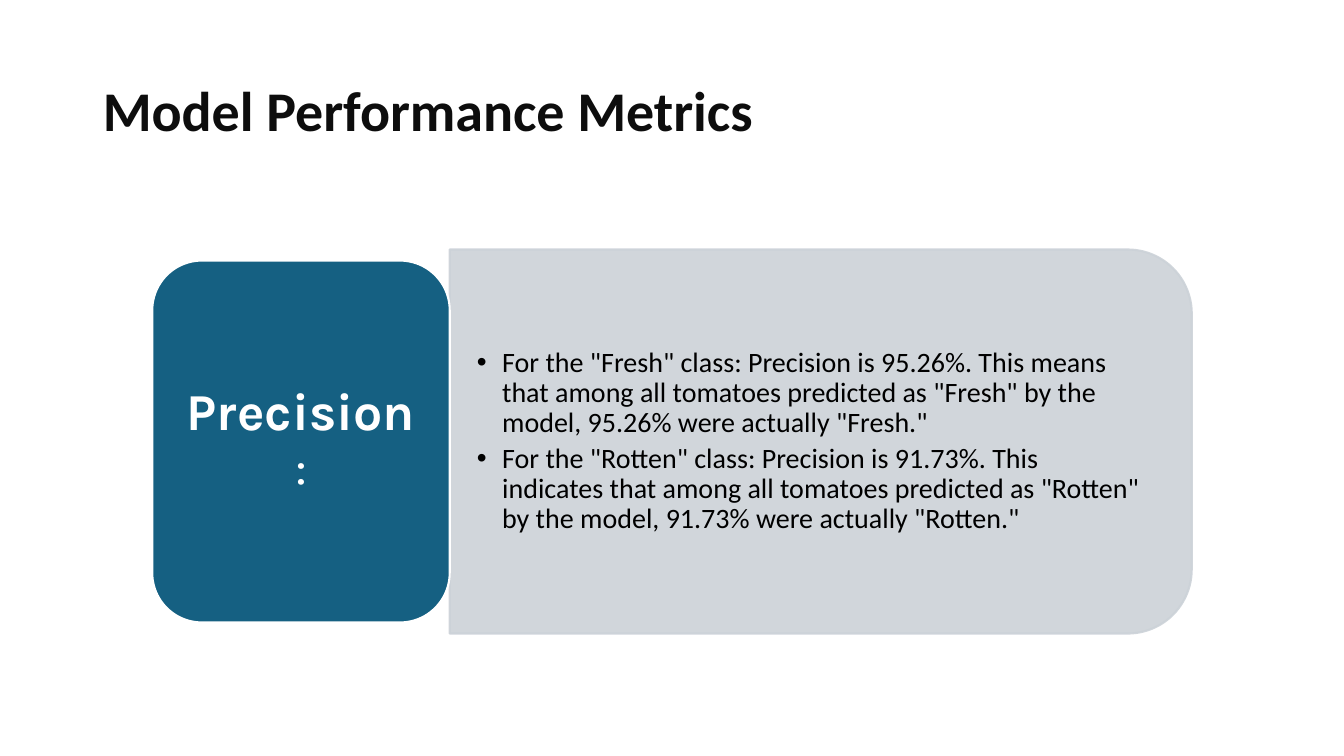
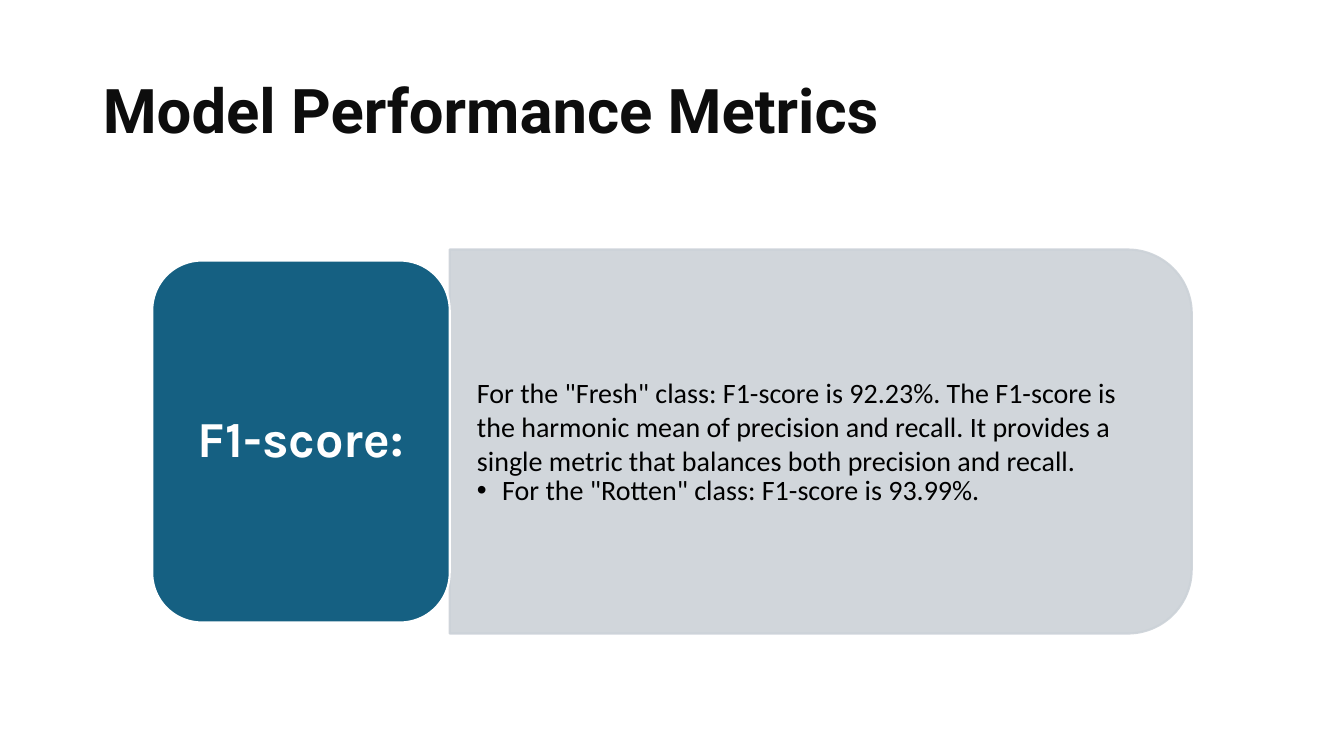
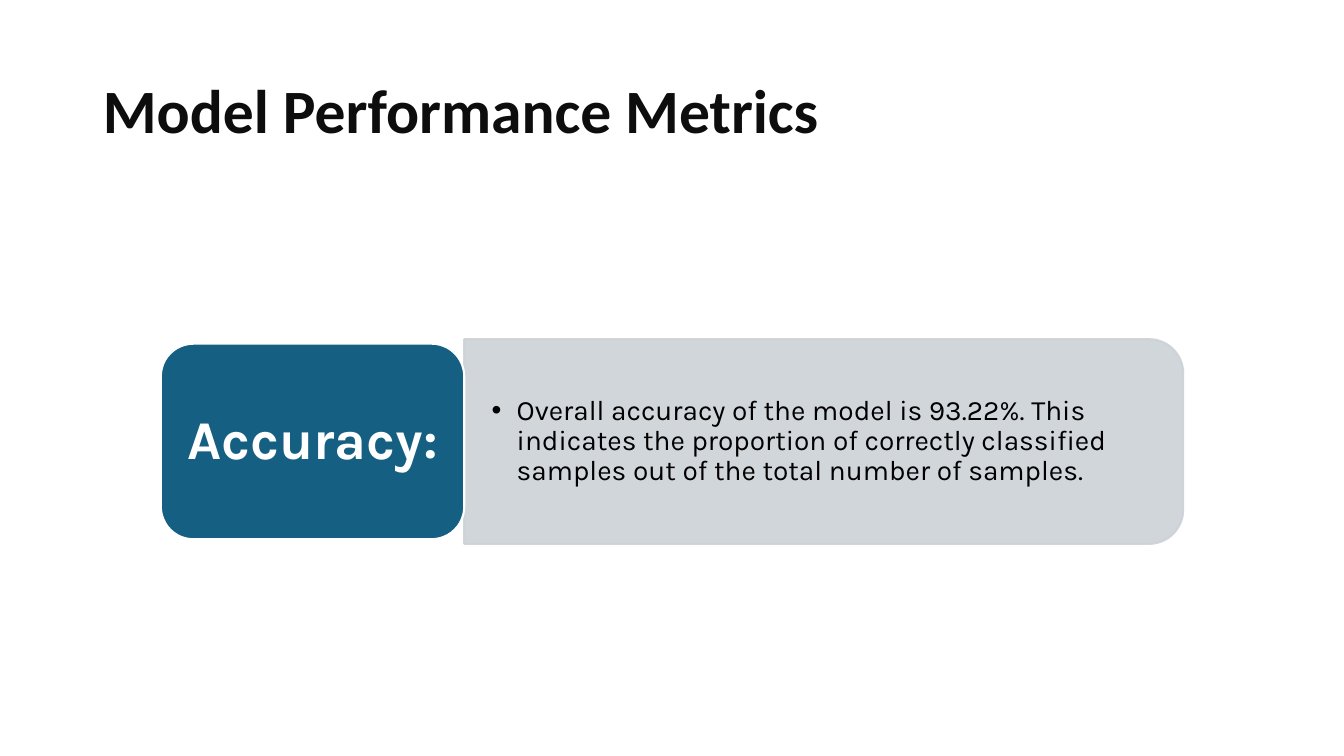
import pptx
import pptx.util
import pptx.dml.color
import pptx.enum.shapes
import pptx.enum.text
import pptx.oxml.ns
from lxml import etree

SHAPE = pptx.enum.shapes.MSO_SHAPE
ALIGN = pptx.enum.text.PP_ALIGN
MIDDLE = pptx.enum.text.MSO_ANCHOR.MIDDLE
qn = pptx.oxml.ns.qn


def paint(code):
    return pptx.dml.color.RGBColor.from_string(code)


class Deck:
    INK, TEXT, TILE, PANEL, EDGE = "0D0D0D", "000000", "156082", "CCD2D8", "FFFFFF"
    CENTER, MIDROW = 50, 58.4
    CORNER = 0.05

    def __init__(self):
        self.prs = pptx.Presentation()
        self.prs.slide_width = pptx.util.Inches(13.33)
        self.prs.slide_height = pptx.util.Inches(7.5)
        self.slide = None

    def col(self, count):
        return round(self.prs.slide_width * count / 100)

    def row(self, count):
        return round(self.prs.slide_height * count / 100)

    def font(self, par, face, size, color, bold=False):
        par.font.name = face
        par.font.size = pptx.util.Pt(size)
        par.font.bold = bold
        par.font.color.rgb = paint(color)

    def frame(self, shape, across, down):
        frame = shape.text_frame
        frame.word_wrap = True
        frame.vertical_anchor = MIDDLE
        frame.margin_left = frame.margin_right = pptx.util.Inches(across)
        frame.margin_top = frame.margin_bottom = pptx.util.Inches(down)
        return frame

    def title(self, text, face, size):
        self.slide = self.prs.slides.add_slide(self.prs.slide_layouts[5])
        head = self.slide.shapes.title
        head.left, head.top = self.col(6.9), self.row(5.33)
        head.width, head.height = self.col(86.25), self.row(19.33)
        frame = self.frame(head, 0.1, 0.05)
        frame.text = text
        par = frame.paragraphs[0]
        par.alignment = ALIGN.LEFT
        par.line_spacing = 0.9
        self.font(par, face, size, self.INK, True)

    def block(self, kind, box, fill, edge):
        shape = self.slide.shapes.add_shape(kind, *box)
        shape.shadow.inherit = False
        shape.fill.solid()
        shape.fill.fore_color.rgb = paint(fill)
        shape.line.color.rgb = paint(edge)
        shape.line.width = pptx.util.Pt(1.5)
        return shape

    def panel(self, left, mid, wide, high):
        box = (left + (wide - high) // 2, mid - wide // 2, high, wide)
        shape = self.block(SHAPE.ROUND_2_SAME_RECTANGLE, box, self.PANEL, self.PANEL)
        shape.rotation = 90
        for tint in shape._element.spPr.iter(qn("a:srgbClr")):
            etree.SubElement(tint, qn("a:alpha"), val="90000")

    def body(self, left, mid, wide, high, items, face):
        inset = round(high * self.CORNER)
        box = self.slide.shapes.add_textbox(
            left, mid - high // 2 + inset, wide - inset, high - 2 * inset)
        frame = self.frame(box, 0.27, 0.14)
        for rank, (text, mark) in enumerate(items):
            par = frame.add_paragraph() if rank else frame.paragraphs[0]
            par.text = text
            par.alignment = ALIGN.LEFT
            if mark:
                self.bullet(par)
            par.line_spacing = 0.9 if mark else 1.0
            if rank and items[rank - 1][1]:
                par.space_before = pptx.util.Pt(3.6)
            self.font(par, face, 20, self.TEXT)

    def bullet(self, par):
        props = par._p.get_or_add_pPr()
        indent = pptx.util.Inches(0.25)
        props.set("marL", str(indent))
        props.set("indent", str(-indent))
        etree.SubElement(props, qn("a:buFont"), typeface="Arial")
        etree.SubElement(props, qn("a:buChar"), char="•")

    def tile(self, left, mid, wide, high, runs, size):
        shape = self.block(SHAPE.ROUNDED_RECTANGLE,
                           (left, mid - high // 2, wide, high), self.TILE, self.EDGE)
        par = self.frame(shape, 0.15, 0.08).paragraphs[0]
        par.alignment = ALIGN.CENTER
        par.line_spacing = 0.9
        self.font(par, "Karla", size, self.EDGE, True)
        for text, bold in runs:
            run = par.add_run()
            run.text = text
            if not bold:
                run.font.bold = False

    def metric(self, grid, runs, size, items, face):
        tile, panel, low, high = grid
        mid = self.row(self.MIDROW)
        left = self.col(self.CENTER - (tile + panel) / 2)
        seam = left + self.col(tile)
        area = (seam, mid, self.col(panel), self.row(high))
        self.panel(*area)
        self.body(*area, items, face)
        self.tile(left, mid, self.col(tile), self.row(low), runs, size)


def main():
    deck = Deck()
    name = "Model Performance Metrics"
    tall = (22.13, 55.21, 47.87, 50.8)
    short = (22.58, 53.49, 25.87, 27.07)

    deck.title(name, "Calibri", 40)
    deck.metric(tall, [("Precision", True), (":", False)], 37, [
        ('For the "Fresh" class: Precision is 95.26%. This means that among all '
         'tomatoes predicted as "Fresh" by the model, 95.26% were actually "Fresh."', True),
        ('For the "Rotten" class: Precision is 91.73%. This indicates that among all '
         'tomatoes predicted as "Rotten" by the model, 91.73% were actually "Rotten."', True),
    ], "Calibri")

    deck.title(name, "Roboto", 44)
    deck.metric(tall, [("F1-score:", True)], 36, [
        ('For the "Fresh" class: F1-score is 92.23%. The F1-score is the harmonic mean '
         'of precision and recall. It provides a single metric that balances both '
         'precision and recall.', False),
        ('For the "Rotten" class: F1-score is 93.99%.', True),
    ], "Calibri")

    deck.title(name, "Calibri", 44)
    deck.metric(short, [("Accuracy:", True)], 39, [
        ("Overall accuracy of the model is 93.22%. This indicates the proportion of "
         "correctly classified samples out of the total number of samples.", True),
    ], "Karla")

    deck.prs.save("out.pptx")


if __name__ == "__main__":
    main()
